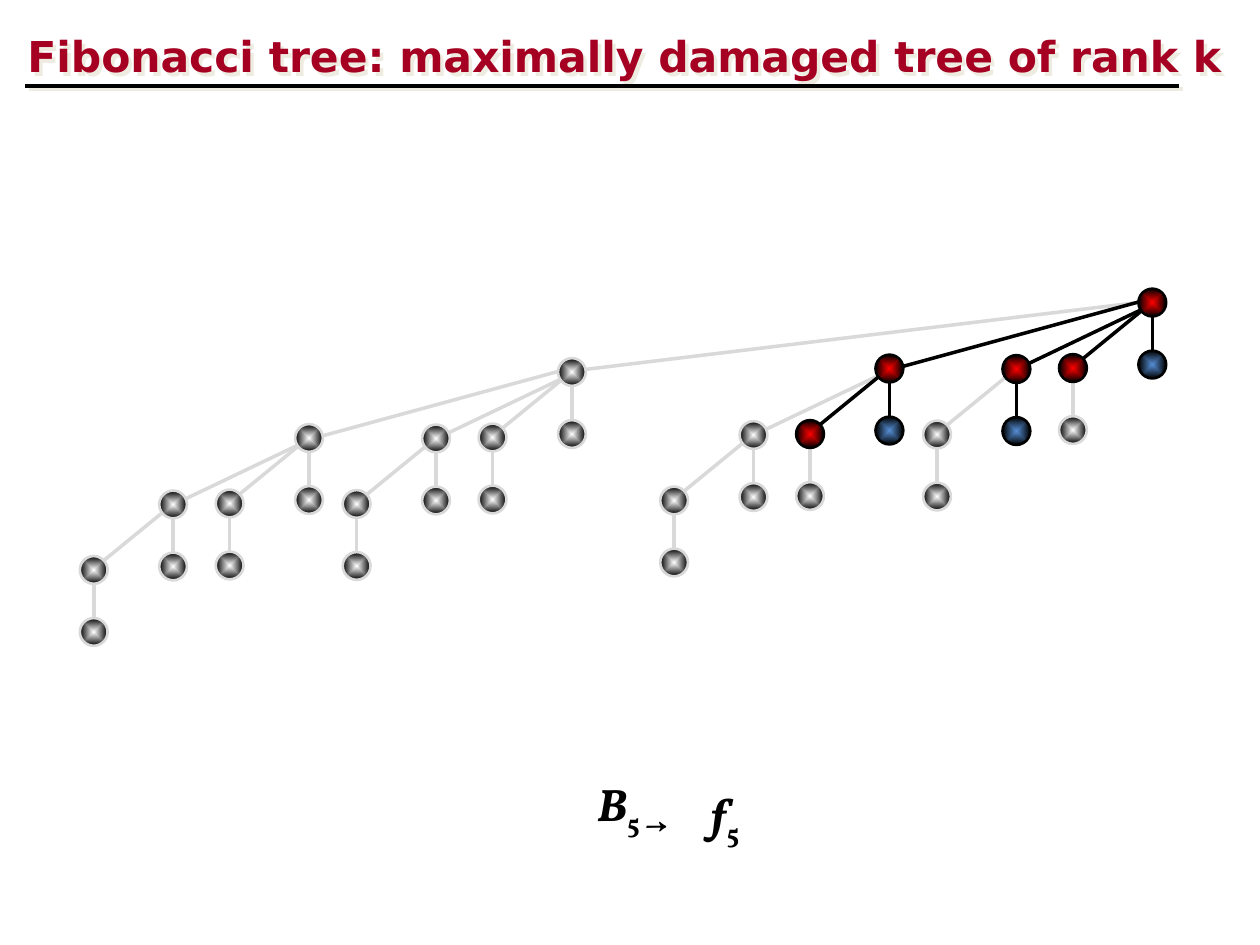
"""Build a slide showing the Fibonacci tree that remains inside a binomial tree."""

from dataclasses import dataclass

import pptx
import pptx.dml.color
import pptx.enum.shapes
import pptx.enum.text
import pptx.oxml
import pptx.oxml.ns
import pptx.util

Cm = pptx.util.Cm
Point = tuple[float, float]

COLORS = {
    "title": "A50021",
    "shadow": "EEECE1",
    "ink": "000000",
    "faded": "D9D9D9",
    "lost": "FFFFFF",
    "inner": "FF0000",
    "leaf": "558ED5",
}
NODE_SIZE = 0.56


@dataclass(frozen=True)
class Branch:
    """Offset of a child from its parent, and the nudges of its edge ends."""

    offset: Point
    child_nudge: Point = (0, 0)
    parent_nudge: Point = (0, 0)


@dataclass(frozen=True)
class Span:
    """A piece of text in one style."""

    text: str
    italic: bool = False
    subscript: bool = False


BRANCHES = [
    Branch((0, 1.25)),
    Branch((-1.6, 1.32), (0.03, -0.05), (0.07, -0.07)),
    Branch((-2.74, 1.34), (-0.05, 0.03), (0.18, -0.05)),
    Branch((-5.3, 1.33), (0, 0.03), (-0.03, -0.08)),
    Branch((-11.7, 1.4), (0.08, -0.03), (-0.3, 0)),
]


def rgb(name: str) -> pptx.dml.color.RGBColor:
    """Return a named colour."""
    return pptx.dml.color.RGBColor.from_string(COLORS[name])


def shift(point: Point, offset: Point) -> Point:
    """Move a point by an offset."""
    return point[0] + offset[0], point[1] + offset[1]


def set_effects(shape, shadow: bool = False) -> None:
    """Give a shape an empty effect list or a hard offset shadow."""
    outer = (
        '<a:outerShdw dist="35921" dir="2700000" algn="ctr" rotWithShape="0">'
        f'<a:srgbClr val="{COLORS["shadow"]}"/></a:outerShdw>'
    )
    namespace = pptx.oxml.ns.nsdecls("a")
    effects = f"<a:effectLst {namespace}>{outer if shadow else ''}</a:effectLst>"
    shape._element.spPr.append(pptx.oxml.parse_xml(effects))


def draw_line(page, start: Point, end: Point, color: str, width: float = 2,
              shadow: bool = False) -> None:
    """Draw a straight line."""
    line = page.shapes.add_connector(
        pptx.enum.shapes.MSO_CONNECTOR.STRAIGHT,
        *(Cm(value) for value in start + end))
    line.line.color.rgb = rgb(color)
    line.line.width = pptx.util.Pt(width)
    set_effects(line, shadow)


def draw_node(page, center: Point, fill: str, outline: str) -> None:
    """Draw a round node with a gradient that darkens outwards."""
    left, top = shift(center, (-NODE_SIZE / 2, -NODE_SIZE / 2))
    node = page.shapes.add_shape(
        pptx.enum.shapes.MSO_SHAPE.OVAL,
        Cm(left), Cm(top), Cm(NODE_SIZE), Cm(NODE_SIZE))
    node.shadow.inherit = False
    node.fill.gradient()
    for stop, color in zip(node.fill.gradient_stops, (fill, "ink")):
        stop.color.rgb = rgb(color)
    linear = node._element.spPr.find(".//" + pptx.oxml.ns.qn("a:lin"))
    linear.getparent().replace(linear, pptx.oxml.parse_xml(
        f'<a:path {pptx.oxml.ns.nsdecls("a")} path="shape">'
        '<a:fillToRect l="50000" t="50000" r="50000" b="50000"/></a:path>'))
    node.line.color.rgb = rgb(outline)
    node.line.width = pptx.util.Pt(1.5)


def draw_tree(page, center: Point, rank: int, kept: bool = True) -> None:
    """Draw a binomial tree in which each kept node loses its largest child."""
    for child_rank in reversed(range(rank)):
        branch = BRANCHES[child_rank]
        child = shift(center, branch.offset)
        child_kept = kept and child_rank != rank - 1
        draw_line(page, shift(child, branch.child_nudge),
                  shift(center, branch.parent_nudge),
                  "ink" if child_kept else "faded")
        draw_tree(page, child, child_rank, child_kept)
    fill = ("inner" if rank else "leaf") if kept else "lost"
    draw_node(page, center, fill, "ink" if kept else "faded")


def write_text(box, spans: list[Span], *, font: str, size: float, color: str,
               top_margin: float = 0.13) -> None:
    """Write bold, left-aligned text into a box."""
    frame = box.text_frame
    frame.word_wrap = True
    frame.auto_size = pptx.enum.text.MSO_AUTO_SIZE.NONE
    frame.vertical_anchor = pptx.enum.text.MSO_ANCHOR.TOP
    frame.margin_top = Cm(top_margin)
    frame.margin_right = Cm(0)
    para = frame.paragraphs[0]
    para.alignment = pptx.enum.text.PP_ALIGN.LEFT
    for piece in spans:
        span = para.add_run()
        span.text = piece.text
        span.font.name = font
        span.font.size = pptx.util.Pt(size)
        span.font.bold = True
        span.font.italic = piece.italic
        span.font.color.rgb = rgb(color)
        if piece.subscript:
            span.font._element.set("baseline", "-25000")


def add_formula(page, left: float, top: float, width: float, letter: str,
                index: str) -> None:
    """Add an italic letter with a subscript."""
    box = page.shapes.add_textbox(Cm(left), Cm(top), Cm(width), Cm(1.37))
    write_text(box, [Span(letter, italic=True), Span(index, subscript=True)],
               font="Vollkorn", size=26, color="ink")


def main() -> None:
    """Build and save the deck."""
    deck = pptx.Presentation()
    deck.slide_width, deck.slide_height = Cm(25.4), Cm(19.05)
    page = deck.slides.add_slide(deck.slide_layouts[5])
    title = page.shapes.title
    title.left, title.top = Cm(0.3), Cm(0.43)
    title.width, title.height = Cm(24.69), Cm(1.7)
    write_text(title, [Span("Fibonacci tree: maximally damaged tree of rank k")],
               font="DejaVu Sans", size=24.3, color="title", top_margin=0.18)
    set_effects(title, shadow=True)
    draw_line(page, (0.51, 1.73), (23.77, 1.73), "ink", 2.25, shadow=True)
    draw_tree(page, (23.23, 6.1), len(BRANCHES))
    add_formula(page, 11.79, 15.52, 2.72, "B", "5 →")
    add_formula(page, 14.07, 15.72, 1.65, "f", "5")
    deck.save("out.pptx")


if __name__ == "__main__":
    main()
